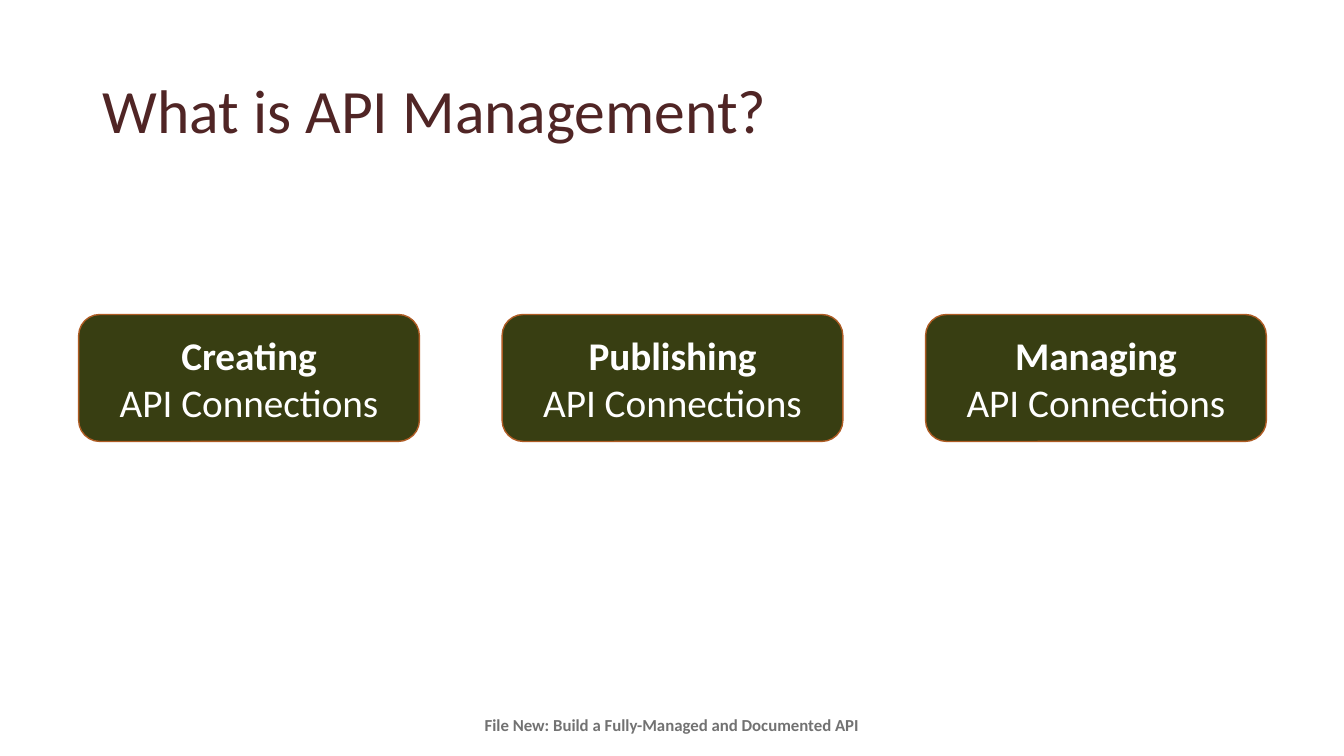
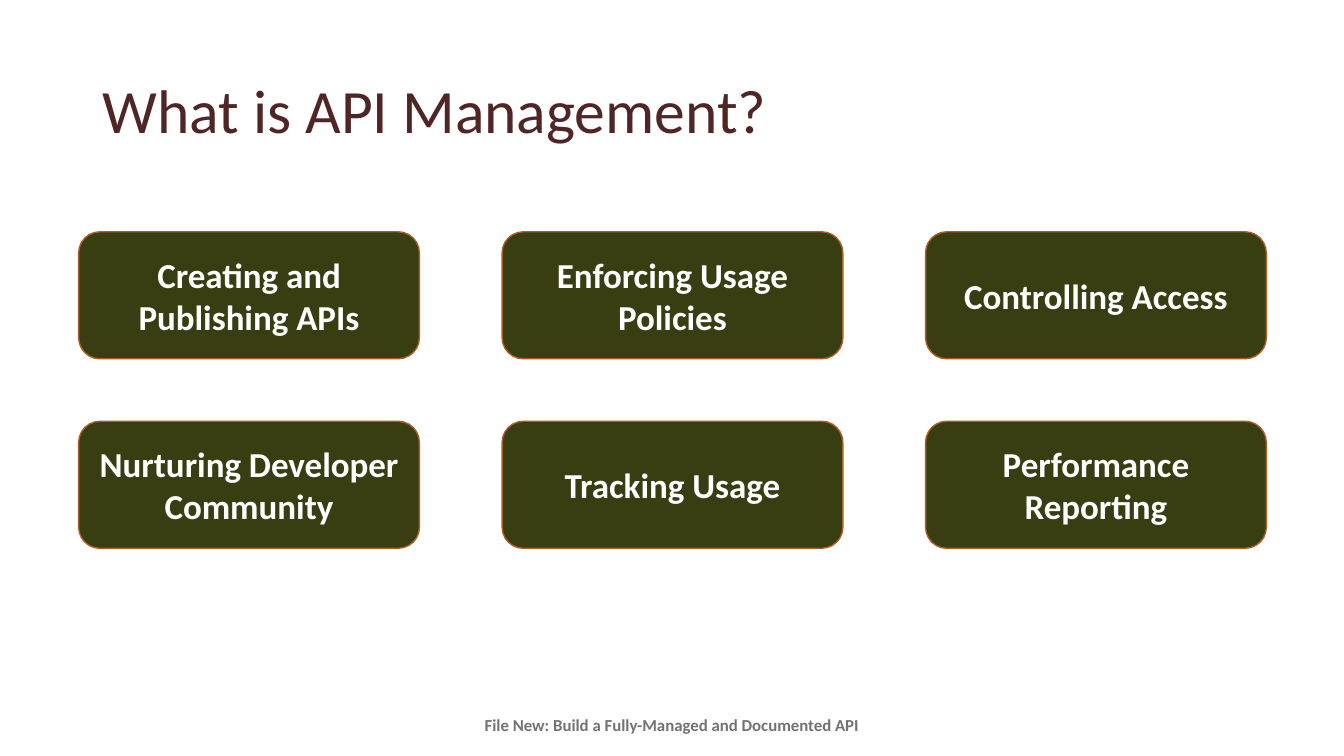
import pptx
import pptx.dml.color
import pptx.enum.shapes
import pptx.enum.text
import pptx.util

PX = 9144  # EMU per px, 100 px to the inch
FONT = "Calibri"
TITLE_COLOR = pptx.dml.color.RGBColor(0x50, 0x25, 0x25)
CARD_FILL = pptx.dml.color.RGBColor(0x38, 0x3E, 0x12)
CARD_LINE = pptx.dml.color.RGBColor(0xAF, 0x5C, 0x24)
WHITE = pptx.dml.color.RGBColor(0xFF, 0xFF, 0xFF)
GRAY = pptx.dml.color.RGBColor(0x72, 0x72, 0x72)

TITLE = "What is API Management?"
FOOTER = "File New: Build a Fully-Managed and Documented API"

# Card grid
CARD_LEFT, CARD_WIDTH, CARD_HEIGHT = 78, 338, 126
COLUMNS, COLUMN_STEP, ROW_STEP = 3, 420, 188

# Each slide: top of the grid, text size, cards as lists of (text, bold) lines
SLIDES = [
    (312, 28, [[(verb, True), ("API Connections", False)]
               for verb in ("Creating", "Publishing", "Managing")]),
    (230, 25, [[(activity, True)] for activity in (
        "Creating and Publishing APIs", "Enforcing Usage Policies",
        "Controlling Access", "Nurturing Developer Community",
        "Tracking Usage", "Performance Reporting")]),
]


def box(left, top, width, height):
    return [pptx.util.Emu(length * PX) for length in (left, top, width, height)]


def write(paragraph, text, size, color, bold=False,
          alignment=pptx.enum.text.PP_ALIGN.CENTER):
    paragraph.alignment = alignment
    run = paragraph.add_run()
    run.text = text
    run.font.name = FONT
    run.font.size = pptx.util.Pt(size)
    run.font.bold = bold
    run.font.color.rgb = color


presentation = pptx.Presentation()
presentation.slide_width = pptx.util.Emu(1333 * PX)
presentation.slide_height = pptx.util.Emu(750 * PX)
title_only = presentation.slide_layouts.get_by_name("Title Only")

for grid_top, text_size, cards in SLIDES:
    slide = presentation.slides.add_slide(title_only)

    # Title
    title = slide.shapes.title
    title.left, title.top, title.width, title.height = box(92, 40, 1150, 145)
    title.text_frame.auto_size = pptx.enum.text.MSO_AUTO_SIZE.NONE
    title.text_frame.vertical_anchor = pptx.enum.text.MSO_ANCHOR.MIDDLE
    paragraph = title.text_frame.paragraphs[0]
    paragraph.line_spacing = 0.9
    write(paragraph, TITLE, 44, TITLE_COLOR,
          alignment=pptx.enum.text.PP_ALIGN.LEFT)

    # Footer
    footer = slide.shapes.add_textbox(*box(468, 704, 397, 30))
    footer.text_frame.word_wrap = False
    write(footer.text_frame.paragraphs[0], FOOTER, 12, GRAY, bold=True)

    # Cards, row by row
    for index, lines in enumerate(cards):
        row, column = divmod(index, COLUMNS)
        card = slide.shapes.add_shape(
            pptx.enum.shapes.MSO_SHAPE.ROUNDED_RECTANGLE,
            *box(CARD_LEFT + column * COLUMN_STEP, grid_top + row * ROW_STEP,
                 CARD_WIDTH, CARD_HEIGHT))
        card.shadow.inherit = False
        card.fill.solid()
        card.fill.fore_color.rgb = CARD_FILL
        card.line.color.rgb = CARD_LINE
        card.line.width = pptx.util.Pt(1)
        text_frame = card.text_frame
        text_frame.word_wrap = True
        text_frame.vertical_anchor = pptx.enum.text.MSO_ANCHOR.MIDDLE
        for number, (text, bold) in enumerate(lines):
            paragraph = (text_frame.add_paragraph() if number
                         else text_frame.paragraphs[0])
            write(paragraph, text, text_size, WHITE, bold)

presentation.save("out.pptx")
